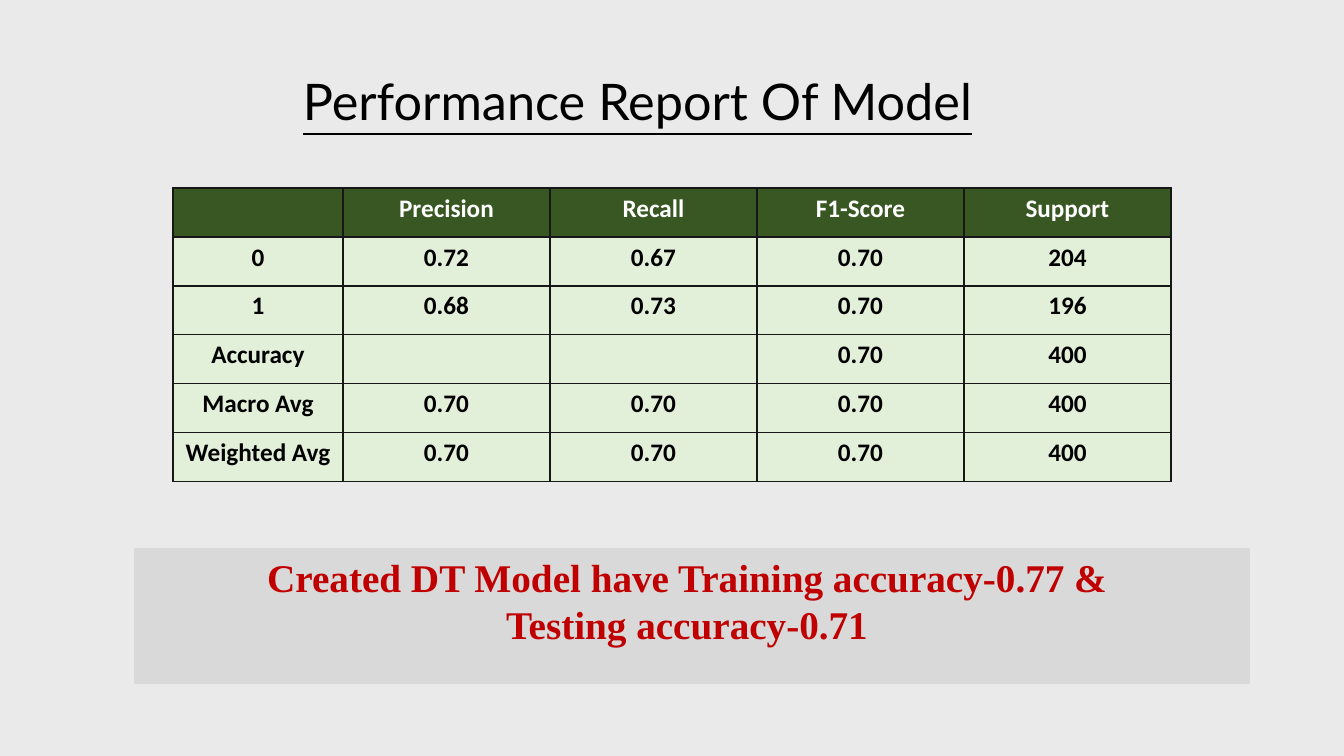
from lxml import etree
from pptx import Presentation
from pptx.dml.color import RGBColor
from pptx.enum.shapes import MSO_SHAPE
from pptx.enum.text import MSO_ANCHOR, MSO_AUTO_SIZE, PP_ALIGN
from pptx.oxml.ns import qn
from pptx.util import Emu, Pt

RECT = MSO_SHAPE.RECTANGLE
TOP, BOTTOM = MSO_ANCHOR.TOP, MSO_ANCHOR.BOTTOM
NO_AUTOFIT = MSO_AUTO_SIZE.NONE
CENTER = PP_ALIGN.CENTER
TITLE_ONLY = 5
PX_PER_INCH = 100.8

COLORS = {
    "background": "EAEAEA",
    "black": "000000",
    "white": "FFFFFF",
    "header": "385723",
    "body": "E2F0D9",
    "border": "181717",
    "banner": "D9D9D9",
    "accent": "C00000",
}

REPORT = [
    ["", "Precision", "Recall", "F1-Score", "Support"],
    ["0", "0.72", "0.67", "0.70", "204"],
    ["1", "0.68", "0.73", "0.70", "196"],
    ["Accuracy", "", "", "0.70", "400"],
    ["Macro Avg", "0.70", "0.70", "0.70", "400"],
    ["Weighted Avg", "0.70", "0.70", "0.70", "400"],
]


def px(n):
    """Turn a length in pixels into EMU."""
    return Emu(round(n * 914400 / PX_PER_INCH))


def paint(fill, color):
    """Make a fill solid in a named colour."""
    fill.solid()
    fill.fore_color.rgb = RGBColor.from_string(COLORS[color])


def write(tf, text, font, size, color, bold=False, underline=False, spacing=1.0):
    """Write centred paragraphs, one for each line of text."""
    for i, line in enumerate(text.split("\n")):
        p = tf.paragraphs[0] if i == 0 else tf.add_paragraph()
        p.alignment = CENTER
        p.line_spacing = spacing
        r = p.add_run()
        r.text = line
        r.font.name = font
        r.font.size = Pt(size)
        r.font.bold = bold
        r.font.underline = underline
        r.font.color.rgb = RGBColor.from_string(COLORS[color])


def add_borders(cell):
    """Draw a thin line on all four sides of a cell."""
    tc_pr = cell._tc.get_or_add_tcPr()
    for side in ("a:lnL", "a:lnR", "a:lnT", "a:lnB"):
        ln = etree.SubElement(tc_pr, qn(side), w=str(Pt(1)))
        fill = etree.SubElement(ln, qn("a:solidFill"))
        etree.SubElement(fill, qn("a:srgbClr"), val=COLORS["border"])


def place_title(s, text, x, y, w, h):
    """Move the title placeholder into its box and write the heading."""
    sp = s.shapes.title
    sp.left, sp.top, sp.width, sp.height = px(x), px(y), px(w), px(h)
    tf = sp.text_frame
    tf.auto_size = NO_AUTOFIT
    tf.vertical_anchor = BOTTOM
    write(tf, text, "Lato", 36, "black", underline=True, spacing=0.9)


def place_report(s, rows, x, y, label_w, value_w, row_h):
    """Build the metrics table with a label column and equal value columns."""
    widths = [label_w] + [value_w] * (len(rows[0]) - 1)
    frame = s.shapes.add_table(len(rows), len(widths), px(x), px(y),
                               px(sum(widths)), px(row_h * len(rows)))
    table = frame.table
    table.horz_banding = False
    for column, width in zip(table.columns, widths):
        column.width = px(width)
    for i, values in enumerate(rows):
        table.rows[i].height = px(row_h)
        for j, value in enumerate(values):
            cell = table.cell(i, j)
            add_borders(cell)
            paint(cell.fill, "body" if i else "header")
            if value:
                write(cell.text_frame, value, "Calibri", 18,
                      "black" if i else "white", bold=True)


def place_banner(s, text, x, y, w, h):
    """Add the grey banner that states the accuracy."""
    sp = s.shapes.add_shape(RECT, px(x), px(y), px(w), px(h))
    sp.shadow.inherit = False
    paint(sp.fill, "banner")
    sp.line.fill.background()
    tf = sp.text_frame
    tf.word_wrap = True
    tf.vertical_anchor = TOP
    tf.margin_left, tf.margin_right = px(10), px(20)
    write(tf, text, "Times New Roman", 28, "accent", bold=True)


def main():
    """Build the slide and save it."""
    prs = Presentation()
    prs.slide_width, prs.slide_height = px(1344), px(756)
    s = prs.slides.add_slide(prs.slide_layouts[TITLE_ONLY])
    paint(s.background.fill, "background")
    place_title(s, "Performance Report Of Model", 127, 56, 1021, 81)
    place_report(s, REPORT, 173, 188, label_w=170, value_w=207, row_h=49)
    place_banner(s, "Created DT Model have Training accuracy-0.77 &\n"
                    "Testing accuracy-0.71", 134, 548, 1116, 136)
    prs.save("out.pptx")


if __name__ == "__main__":
    main()
